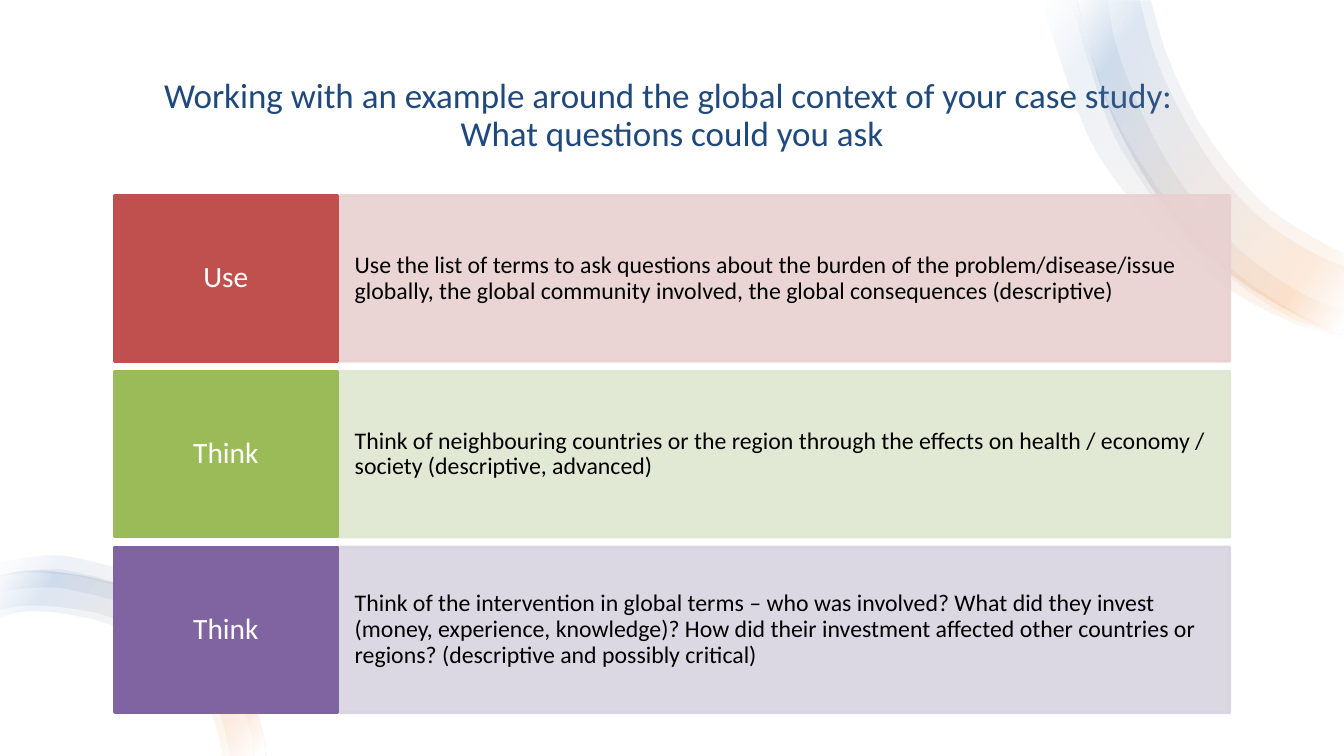
from lxml.etree import SubElement
from pptx import Presentation
from pptx.dml.color import RGBColor
from pptx.enum.shapes import MSO_SHAPE
from pptx.enum.text import MSO_ANCHOR, MSO_AUTO_SIZE, PP_ALIGN
from pptx.oxml.ns import qn
from pptx.util import Pt

COLORS = {
    "title": "1F497D", "white": "FFFFFF", "black": "000000",
    "orange": "F79646", "blue": "4F81BD",
    "red": "C0504D", "red_pale": "E8D0D0",
    "green": "9BBB59", "green_pale": "DEE7D1",
    "purple": "8064A2", "purple_pale": "D8D3E0",
}

GRADIENT = [(2, "white"), (16, "orange"), (85, "blue"), (100, "white")]
GRADIENT_ANGLE = 215
BAND_ALPHA = 10
PANEL_ALPHA = 90
UNITS = 100

UPPER_EDGE = [(960, 239), (942, 233), (881, 197), (830, 144), (792, 77), (770, 3), (769, 0)]
LOWER_EDGE = [(0, 412), (29, 408), (84, 418), (133, 443), (170, 482), (189, 529), (189, 540)]

BANDS = [
    ([(960, 241), (923, 230), (879, 207), (839, 176), (804, 138), (776, 94), (750, 19), (747, 0)],
     [(770, 0), (773, 14), (779, 37), (796, 83), (821, 125), (850, 163), (886, 197), (926, 223),
      (948, 233), (960, 236)]),
    (UPPER_EDGE,
     [(822, 0), (834, 40), (853, 81), (878, 118), (907, 149), (941, 171), (960, 181)]),
    ([(960, 240), (921, 226), (881, 200), (845, 168), (815, 129), (791, 86), (769, 14), (767, 0)],
     [(791, 0), (797, 32), (813, 75), (834, 116), (860, 152), (892, 184), (929, 209), (960, 222)]),
    (UPPER_EDGE,
     [(814, 0), (826, 42), (846, 85), (871, 124), (902, 157), (937, 180), (960, 190)]),
    (LOWER_EDGE,
     [(158, 540), (158, 534), (148, 504), (120, 469), (77, 446), (29, 437), (0, 441)]),
    (LOWER_EDGE,
     [(164, 540), (163, 533), (153, 502), (122, 466), (78, 441), (29, 433), (0, 436)]),
    ([(0, 411), (22, 408), (50, 408), (102, 423), (146, 451), (178, 493), (189, 530), (189, 540)],
     [(181, 540), (178, 519), (168, 498), (138, 460), (96, 434), (48, 421), (24, 420), (0, 423)]),
    ([(0, 402), (22, 398), (51, 398), (107, 414), (141, 438), (168, 470), (180, 495), (190, 540)],
     [(189, 540), (186, 520), (176, 496), (162, 474), (134, 446), (100, 426), (63, 413),
      (23, 409), (0, 412)]),
]

ROWS = [
    ("Use", "red",
     "Use the list of terms to ask questions about the burden of the problem/disease/issue "
     "globally, the global community involved, the global consequences (descriptive)"),
    ("Think", "green",
     "Think of neighbouring countries or the region through the effects on health / economy / "
     "society (descriptive, advanced)"),
    ("Think", "purple",
     "Think of the intervention in global terms – who was involved? What did they invest "
     "(money, experience, knowledge)? How did their investment affected other countries or "
     "regions? (descriptive and possibly critical)"),
]
ROW_TOP, ROW_HEIGHT, ROW_PITCH = 139.7, 118.4, 125.5


def rgb(name):
    """Return the named colour."""
    return RGBColor.from_string(COLORS[name])


def set_alpha(color, percent):
    """Give a colour element an opacity in percent."""
    SubElement(color, qn("a:alpha")).set("val", str(percent * 1000))


def set_text(sp, text, size, color, align=PP_ALIGN.LEFT, margins=(7.2, 3.6)):
    """Write one formatted paragraph in a shape."""
    tf = sp.text_frame
    tf.word_wrap = True
    tf.auto_size = MSO_AUTO_SIZE.NONE
    tf.vertical_anchor = MSO_ANCHOR.MIDDLE
    tf.margin_left = tf.margin_right = Pt(margins[0])
    tf.margin_top = tf.margin_bottom = Pt(margins[1])
    p = tf.paragraphs[0]
    p.text = text
    p.alignment = align
    p.line_spacing = 0.9
    p.space_before = Pt(0)
    for r in p.runs:
        r.font.name = "Calibri"
        r.font.size = Pt(size)
        r.font.color.rgb = rgb(color)


def add_rect(s, x, y, w, h, color):
    """Add a plain rectangle without outline."""
    sp = s.shapes.add_shape(MSO_SHAPE.RECTANGLE, Pt(x), Pt(y), Pt(w), Pt(h))
    sp.shadow.inherit = False
    sp.fill.solid()
    sp.fill.fore_color.rgb = rgb(color)
    sp.line.fill.background()
    return sp


def add_panel(s, x, y, w, color, alpha=None):
    """Add a row rectangle filled and outlined in one colour."""
    sp = add_rect(s, x, y, w, ROW_HEIGHT, color)
    sp.line.color.rgb = rgb(color)
    sp.line.width = Pt(2)
    if alpha:
        for element in sp._element.spPr.iter(qn("a:srgbClr")):
            set_alpha(element, alpha)
    return sp


def curves(points):
    """Return two control points and an end for each step of a smooth curve."""
    padded = [points[0], *points, points[-1]]
    return [
        ([q + (r - p) / 6 for p, q, r in zip(a, b, c)],
         [r - (u - q) / 6 for q, r, u in zip(b, c, d)],
         c)
        for a, b, c, d in zip(padded, padded[1:], padded[2:], padded[3:])]


def bend(path, outer, inner):
    """Turn the straight sides of a band outline into smooth curves."""
    corners = outer + inner
    left = min(x for x, _ in corners)
    top = min(y for _, y in corners)
    sides = path.findall(qn("a:lnTo"))
    edges = sides[:len(outer) - 1] + sides[len(outer):]
    for side, curve in zip(edges, curves(outer) + curves(inner)):
        cubic = SubElement(path, qn("a:cubicBezTo"))
        for x, y in curve:
            SubElement(cubic, qn("a:pt"), x=str(round((x - left) * UNITS)),
                       y=str(round((y - top) * UNITS)))
        path.replace(side, cubic)


def fill_gradient(sp):
    """Fill a shape with the translucent band gradient."""
    sp.fill.gradient()
    grad = sp._element.spPr.find(qn("a:gradFill"))
    for child in list(grad):
        grad.remove(child)
    stops = SubElement(grad, qn("a:gsLst"))
    for position, name in GRADIENT:
        stop = SubElement(stops, qn("a:gs"), pos=str(position * 1000))
        set_alpha(SubElement(stop, qn("a:srgbClr"), val=COLORS[name]), BAND_ALPHA)
    SubElement(grad, qn("a:lin"), ang=str(GRADIENT_ANGLE * 60000), scaled="0")


def add_band(s, outer, inner):
    """Add a translucent gradient band between two curved edges."""
    points = [(x * UNITS, y * UNITS) for x, y in outer + inner]
    builder = s.shapes.build_freeform(*points[0], scale=Pt(1) / UNITS)
    builder.add_line_segments(points[1:], close=True)
    sp = builder.convert_to_shape()
    sp.shadow.inherit = False
    sp.line.fill.background()
    bend(next(sp._element.iter(qn("a:path"))), outer, inner)
    fill_gradient(sp)


def add_title(s, text):
    """Place and format the slide title."""
    sp = s.shapes.title
    sp.left, sp.top, sp.width, sp.height = Pt(63.4), Pt(36), Pt(833), Pt(93.6)
    set_text(sp, text, size=25, color="title", align=PP_ALIGN.CENTER)


def add_row(s, y, label, color, text):
    """Add a pale text panel and its coloured label."""
    panel = add_panel(s, 241, y, 637.4, color + "_pale", alpha=PANEL_ALPHA)
    set_text(panel, text, size=17, color="black", margins=(12.4, 30))
    tag = add_panel(s, 81.6, y, 159.4, color)
    set_text(tag, label, size=21, color="white", align=PP_ALIGN.CENTER, margins=(8.6, 11.5))


def main():
    """Build and save the slide."""
    prs = Presentation()
    prs.slide_width, prs.slide_height = Pt(960), Pt(540)
    s = prs.slides.add_slide(prs.slide_layouts[5])
    backdrop = add_rect(s, 0, 0, 960, 540, "white")
    s.shapes.title._element.addprevious(backdrop._element)
    add_title(s, "Working with an example around the global context of your case study: "
                 "\vWhat questions could you ask")
    for outer, inner in BANDS:
        add_band(s, outer, inner)
    for i, row in enumerate(ROWS):
        add_row(s, ROW_TOP + i * ROW_PITCH, *row)
    prs.save("out.pptx")


if __name__ == "__main__":
    main()
